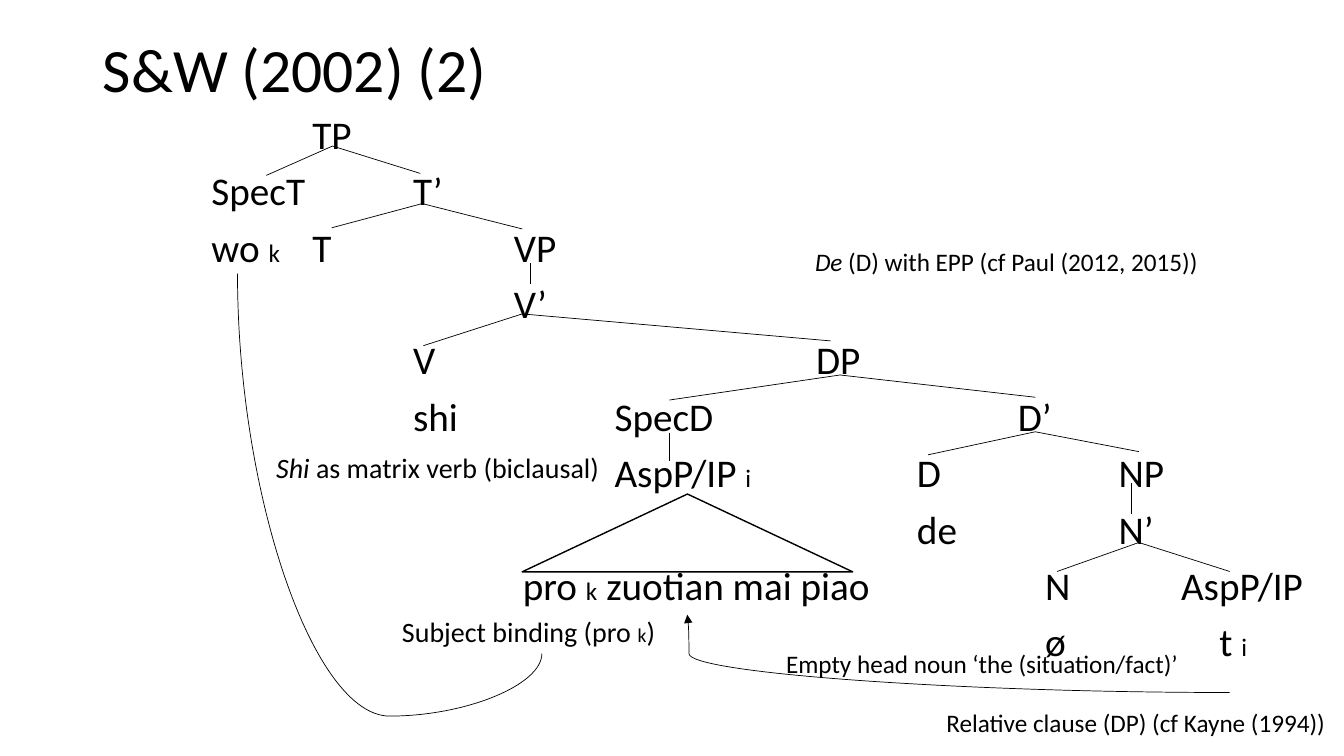
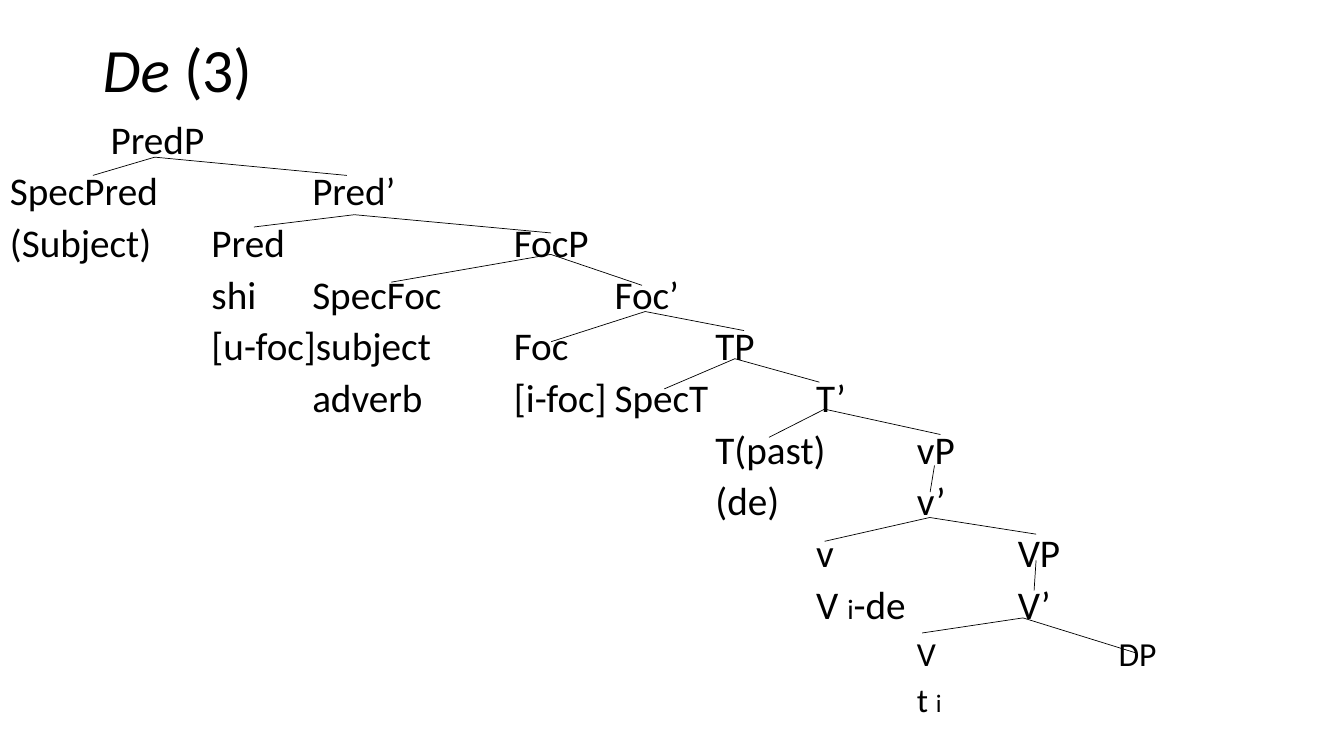
"""Builds two slides with syntax trees, their branches and their notes."""
from dataclasses import dataclass

from lxml import etree
from pptx import Presentation
from pptx.dml.color import RGBColor
from pptx.enum.shapes import MSO_CONNECTOR, MSO_SHAPE
from pptx.enum.text import MSO_ANCHOR, MSO_AUTO_SIZE
from pptx.oxml.ns import qn
from pptx.shapes.connector import Connector
from pptx.slide import Slide
from pptx.text.text import TextFrame, _Paragraph
from pptx.util import Cm, Pt

STRAIGHT = MSO_CONNECTOR.STRAIGHT
CURVE = MSO_CONNECTOR.CURVE
TRIANGLE = MSO_SHAPE.ISOSCELES_TRIANGLE
MIDDLE = MSO_ANCHOR.MIDDLE
FIT_SHAPE = MSO_AUTO_SIZE.SHAPE_TO_FIT_TEXT

BLACK = RGBColor(0x00, 0x00, 0x00)
WHITE = RGBColor(0xFF, 0xFF, 0xFF)
FONT = "Calibri"
SLIDE_WIDTH = 33.87
SLIDE_HEIGHT = 19.05
COLUMN_WIDTH = 2.54
BLANK_LAYOUT = 6

Point = tuple[float, float]


@dataclass(frozen=True)
class Box:
    left: float
    top: float
    width: float
    height: float

    def lengths(self) -> tuple[Cm, Cm, Cm, Cm]:
        return Cm(self.left), Cm(self.top), Cm(self.width), Cm(self.height)


@dataclass(frozen=True)
class Span:
    text: str
    size: int | None = None
    italic: bool = False


@dataclass(frozen=True)
class Node:
    column: float
    text: str
    tail: tuple[Span, ...] = ()


@dataclass(frozen=True)
class Row:
    nodes: tuple[Node, ...]
    size: int = 28


@dataclass(frozen=True)
class Branch:
    parent: Point
    children: tuple[Point, ...]


@dataclass(frozen=True)
class Note:
    box: Box
    size: int
    spans: tuple[Span, ...]


@dataclass(frozen=True)
class Curve:
    box: Box
    rotation: int
    bend: float
    flipped: bool = False
    arrow: bool = False


@dataclass(frozen=True)
class Tree:
    title: tuple[Span, ...]
    top: float
    line_spacing: float
    rows: tuple[Row, ...]
    branches: tuple[Branch, ...]
    triangles: tuple[Box, ...] = ()
    curves: tuple[Curve, ...] = ()
    notes: tuple[Note, ...] = ()


TITLE_BOX = Box(2.34, 0, 29.21, 3.68)

MATRIX_VERB_TREE = Tree(
    title=(Span("S&W (2002) (2)"),),
    top=2.79,
    line_spacing=0.9,
    rows=(
        Row((Node(3, "TP"),)),
        Row((Node(2, "SpecT"), Node(4, "T’"))),
        Row((Node(2, "wo ", (Span("k", 18),)), Node(3, "T"), Node(5, "VP"))),
        Row((Node(5, "V’"),)),
        Row((Node(4, "V"), Node(8, "DP"))),
        Row((Node(4, "shi"), Node(6, "SpecD"), Node(10, "D’"))),
        Row((Node(6, "AspP/IP ", (Span("i", 18),)), Node(9, "D"), Node(11, "NP"))),
        Row((Node(9, "de"), Node(11, "N’"))),
        Row((Node(5.09, "pro ", (Span("k", 18), Span(" zuotian mai piao"))),
             Node(10.27, "N"), Node(11.62, "AspP/IP"))),
        Row((Node(10.27, "ø"), Node(12, "t ", (Span("i", 18),)))),
    ),
    branches=(
        Branch((8.38, 3.68), ((6.71, 4.42), (10.59, 4.37))),
        Branch((10.64, 5.13), ((8.36, 5.74), (13.16, 5.77))),
        Branch((13.36, 6.63), ((13.36, 7.16),)),
        Branch((13.16, 7.91), ((10.67, 8.71), (20.93, 8.59))),
        Branch((21.17, 9.45), ((16.87, 10.08), (26.09, 10.01))),
        Branch((16.87, 10.9), ((16.87, 11.61),)),
        Branch((26.09, 10.88), ((23.39, 11.46), (28.7, 11.38))),
        Branch((28.52, 12.17), ((28.52, 12.95),)),
        Branch((28.7, 13.67), ((26.64, 14.4), (30.99, 14.4))),
    ),
    triangles=(Box(13.16, 12.45, 8.33, 1.96),),
    curves=(
        Curve(Box(17.32, 15.49, 13.67, 1.96), 180, 0.997, arrow=True),
        Curve(Box(5.03, 7.85, 9.58, 7.67), 270, -0.164, flipped=True),
    ),
    notes=(
        Note(Box(6.71, 11.23, 8.74, 1.12), 20,
             (Span("Shi ", italic=True), Span("as matrix verb (biclausal)"))),
        Note(Box(9.88, 15.37, 6.96, 1.12), 20,
             (Span("Subject binding (pro "), Span("k", 14), Span(")"))),
        Note(Box(20.29, 6.07, 10.29, 1.02), 18,
             (Span("De ", italic=True), Span("(D) with EPP (cf Paul (2012, 2015))"))),
        Note(Box(23.6, 17.7, 10.19, 1.02), 18,
             (Span("Relative clause (DP) (cf Kayne (1994))"),)),
        Note(Box(19.56, 16.21, 10.49, 1.02), 18,
             (Span("Empty head noun ‘the (situation/fact)’"),)),
    ),
)

FOCUS_TREE = Tree(
    title=(Span("De ", italic=True), Span("(3)")),
    top=3,
    line_spacing=0.8,
    rows=(
        Row((Node(1, "PredP"),)),
        Row((Node(0, "SpecPred"), Node(3, "Pred’"))),
        Row((Node(0, "(Subject)"), Node(2, "Pred"), Node(5, "FocP"))),
        Row((Node(2, "shi"), Node(3, "SpecFoc"), Node(6, "Foc’"))),
        Row((Node(2, "[u-foc]subject"), Node(5, "Foc"), Node(7, "TP"))),
        Row((Node(3, "adverb"), Node(5, "[i-foc]"), Node(6, "SpecT"), Node(8, "T’"))),
        Row((Node(7, "T(past)"), Node(9, "vP"))),
        Row((Node(7, "(de)"), Node(9, "v’"))),
        Row((Node(8, "v"), Node(10, "VP"))),
        Row((Node(8, "V ", (Span("i", 20), Span("-de"))), Node(10, "V’"))),
        Row((Node(9, "V"), Node(11, "DP")), 24),
        Row((Node(9, "t ", (Span("i", 18),)),), 24),
    ),
    branches=(
        Branch((3.9, 3.96), ((2.34, 4.42), (8.74, 4.42))),
        Branch((8.93, 5.41), ((6.4, 5.72), (13.89, 5.87))),
        Branch((13.88, 6.41), ((9.86, 7.11), (16.18, 7.19))),
        Branch((16.26, 7.85), ((13.89, 8.61), (18.75, 8.33))),
        Branch((18.52, 9.04), ((16.74, 9.8), (20.65, 9.63))),
        Branch((20.78, 10.31), ((19.38, 11.02), (23.7, 10.95))),
        Branch((23.55, 11.73), ((23.44, 12.4),)),
        Branch((23.43, 13.04), ((20.78, 13.64), (26.11, 13.46))),
        Branch((26.11, 14.12), ((26.06, 14.88),)),
        Branch((25.78, 15.57), ((23.24, 15.95), (28.65, 16.46))),
    ),
)


def add_text_frame(slide: Slide, box: Box, wrap: bool = True) -> TextFrame:
    text_frame = slide.shapes.add_textbox(*box.lengths()).text_frame
    text_frame.word_wrap = wrap
    return text_frame


def write_spans(paragraph: _Paragraph, spans: tuple[Span, ...], size: int) -> None:
    paragraph.font.name = FONT
    paragraph.font.size = Pt(size)
    paragraph.font.color.rgb = BLACK
    for span in spans:
        run = paragraph.add_run()
        run.text = span.text
        if span.size:
            run.font.size = Pt(span.size)
        if span.italic:
            run.font.italic = True


def add_title(slide: Slide, spans: tuple[Span, ...]) -> None:
    text_frame = add_text_frame(slide, TITLE_BOX)
    text_frame.vertical_anchor = MIDDLE
    paragraph = text_frame.paragraphs[0]
    paragraph.line_spacing = 0.9
    write_spans(paragraph, spans, 44)


def add_tab_stops(paragraph: _Paragraph, columns: list[float]) -> None:
    properties = paragraph._p.get_or_add_pPr()
    tab_list = etree.SubElement(properties, qn("a:tabLst"))
    for column in columns:
        position = Cm(column * COLUMN_WIDTH)
        etree.SubElement(tab_list, qn("a:tab"), pos=str(position), algn="l")


def add_rows(slide: Slide, tree: Tree) -> None:
    box = Box(0, tree.top, SLIDE_WIDTH, SLIDE_HEIGHT - tree.top)
    text_frame = add_text_frame(slide, box)
    for index, row in enumerate(tree.rows):
        paragraph = text_frame.add_paragraph() if index else text_frame.paragraphs[0]
        paragraph.line_spacing = tree.line_spacing
        if index:
            paragraph.space_before = Pt(10)
        add_tab_stops(paragraph, [node.column for node in row.nodes if node.column])
        for node in row.nodes:
            text = f"\t{node.text}" if node.column else node.text
            write_spans(paragraph, (Span(text), *node.tail), row.size)


def add_line(slide: Slide, kind: MSO_CONNECTOR, start: Point, end: Point) -> Connector:
    ends = [Cm(value) for value in (*start, *end)]
    connector = slide.shapes.add_connector(kind, *ends)
    connector.line.color.rgb = BLACK
    connector.line.width = Pt(0.5)
    etree.SubElement(connector._element.spPr, qn("a:effectLst"))
    return connector


def add_curve(slide: Slide, curve: Curve) -> None:
    box = curve.box
    end = (box.left + box.width, box.top + box.height)
    connector = add_line(slide, CURVE, (box.left, box.top), end)
    properties = connector._element.spPr
    transform = properties.find(qn("a:xfrm"))
    transform.set("rot", str(curve.rotation * 60000))
    if curve.flipped:
        transform.set("flipV", "1")
    geometry = properties.find(qn("a:prstGeom"))
    adjustments = geometry.find(qn("a:avLst"))
    if adjustments is None:
        adjustments = etree.SubElement(geometry, qn("a:avLst"))
    formula = f"val {round(curve.bend * 100000)}"
    etree.SubElement(adjustments, qn("a:gd"), name="adj1", fmla=formula)
    if curve.arrow:
        etree.SubElement(properties.find(qn("a:ln")), qn("a:tailEnd"), type="triangle")


def add_triangle(slide: Slide, box: Box) -> None:
    shape = slide.shapes.add_shape(TRIANGLE, *box.lengths())
    shape.shadow.inherit = False
    shape.fill.solid()
    shape.fill.fore_color.rgb = WHITE
    shape.line.color.rgb = BLACK
    shape.line.width = Pt(1)


def add_note(slide: Slide, note: Note) -> None:
    text_frame = add_text_frame(slide, note.box, wrap=False)
    text_frame.auto_size = FIT_SHAPE
    write_spans(text_frame.paragraphs[0], note.spans, note.size)


def draw_tree(slide: Slide, tree: Tree) -> None:
    add_title(slide, tree.title)
    add_rows(slide, tree)
    for box in tree.triangles:
        add_triangle(slide, box)
    for curve in tree.curves:
        add_curve(slide, curve)
    for branch in tree.branches:
        for child in branch.children:
            add_line(slide, STRAIGHT, branch.parent, child)
    for note in tree.notes:
        add_note(slide, note)


def main() -> None:
    presentation = Presentation()
    presentation.slide_width = Cm(SLIDE_WIDTH)
    presentation.slide_height = Cm(SLIDE_HEIGHT)
    layout = presentation.slide_layouts[BLANK_LAYOUT]
    for tree in (MATRIX_VERB_TREE, FOCUS_TREE):
        draw_tree(presentation.slides.add_slide(layout), tree)
    presentation.save("out.pptx")


if __name__ == "__main__":
    main()
